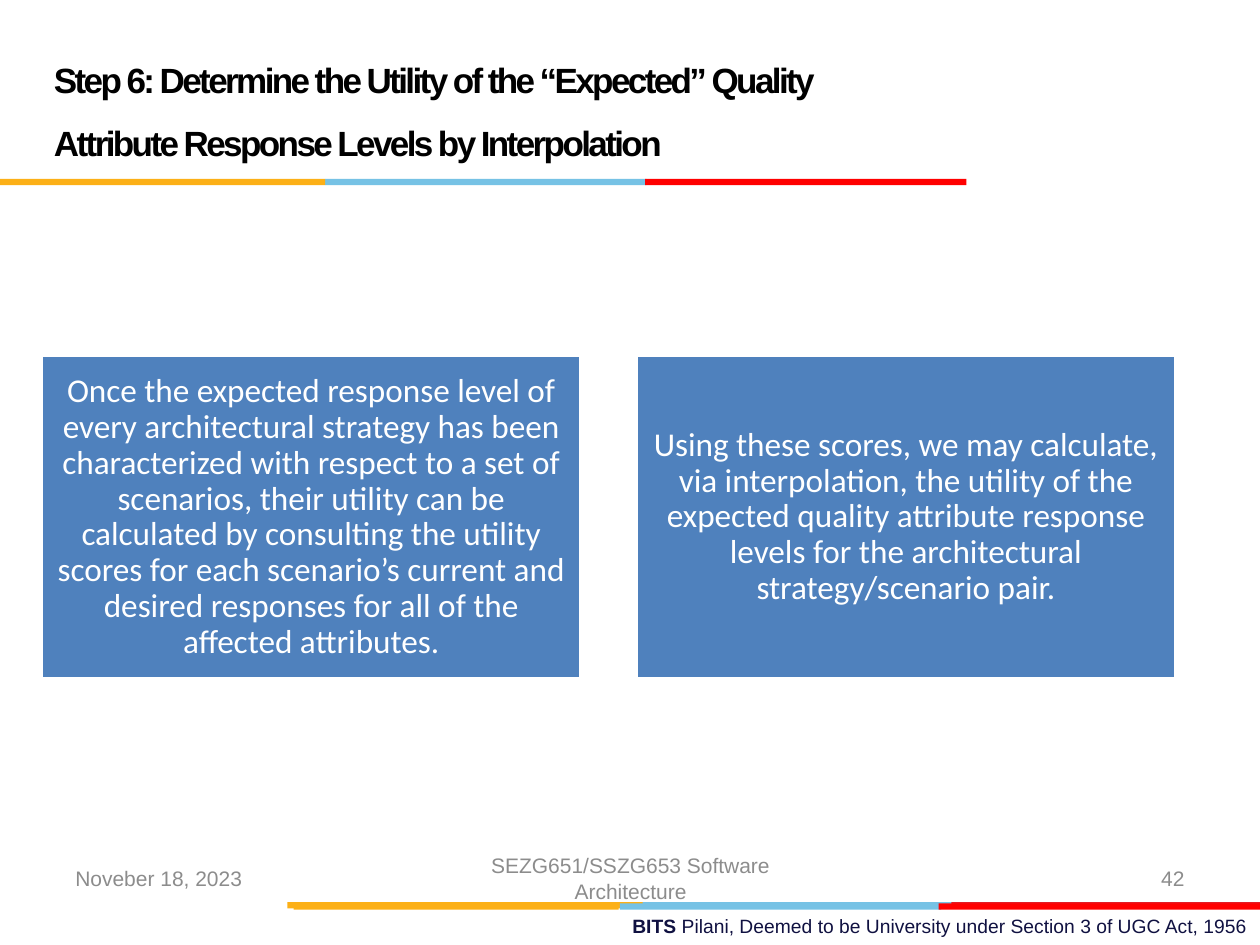
"""Build the slide on determining expected utility by interpolation."""
from pptx import Presentation
from pptx.dml.color import RGBColor
from pptx.enum.shapes import MSO_SHAPE
from pptx.enum.text import MSO_ANCHOR, PP_ALIGN
from pptx.util import Inches, Pt

ORANGE, SKY, RED, WHITE = "FCB017", "76C2E5", "FF0000", "FFFFFF"
BAR_HEIGHT = 0.05
STRIPES = [
    (7.16, [(5.06, 2.55, SKY), (7.55, 2.45, "E31C24"), (2.28, 2.82, ORANGE)]),
    (7.17, [(4.92, 2.55, SKY), (2.33, 2.58, ORANGE), (7.45, 2.55, RED)]),
    (1.42, [(2.58, 2.55, SKY), (0, 2.58, ORANGE), (5.12, 2.55, RED)]),
]
TITLE = "Step 6: Determine the Utility of the “Expected” Quality Attribute Response Levels by Interpolation"
CARDS = [
    "Once the expected response level of every architectural strategy has been characterized "
    "with respect to a set of scenarios, their utility can be calculated by consulting the "
    "utility scores for each scenario’s current and desired responses for all of the affected attributes.",
    "Using these scores, we may calculate, via interpolation, the utility of the expected "
    "quality attribute response levels for the architectural strategy/scenario pair.",
]
CARD_LEFT, CARD_TOP, CARD_WIDTH, CARD_HEIGHT, CARD_GAP = 0.33, 2.82, 4.28, 2.57, 0.44
FOOTERS = [
    (0.5, 2.33, "Noveber 18, 2023", PP_ALIGN.LEFT),
    (3.42, 3.17, "SEZG651/SSZG653 Software Architecture", PP_ALIGN.CENTER),
    (7.17, 2.33, "42", PP_ALIGN.RIGHT),
]
UNIVERSITY = [("BITS ", True), ("Pilani, Deemed to be University under Section 3 of UGC Act, 1956", False)]

FONTS = {
    "title": {"name": "Arial", "size": Pt(20)},
    "card": {"name": "Calibri", "size": Pt(19)},
    "footer": {"name": "Arial", "size": Pt(12)},
    "university": {"name": "Arial", "size": Pt(11)},
}
COLORS = {"title": "000000", "card": WHITE, "footer": "8C8C8C", "university": "101141"}
CARD_MARGINS = {f"margin_{side}": Inches(0.08) for side in ("left", "top", "right", "bottom")}


def rgb(value):
    return RGBColor.from_string(value)


def apply(target, values):
    for name, value in values.items():
        setattr(target, name, value)


def add_rect(slide, box, fill):
    rect = slide.shapes.add_shape(MSO_SHAPE.RECTANGLE, *map(Inches, box))
    rect.shadow.inherit = False
    rect.fill.solid()
    rect.fill.fore_color.rgb = rgb(fill)
    rect.line.fill.background()
    return rect


def write(holder, runs, role, align=PP_ALIGN.LEFT, anchor=MSO_ANCHOR.MIDDLE, spacing=None):
    frame = holder.text_frame
    apply(frame, {"word_wrap": True, "vertical_anchor": anchor})
    paragraph = frame.paragraphs[0]
    apply(paragraph, {"alignment": align, "line_spacing": spacing})
    for text, bold in runs:
        run = paragraph.add_run()
        run.text = text
        apply(run.font, {**FONTS[role], "bold": bold})
        run.font.color.rgb = rgb(COLORS[role])
    return paragraph


def add_text(slide, box, *args, **layout):
    return write(slide.shapes.add_textbox(*map(Inches, box)), *args, **layout)


def main():
    deck = Presentation()
    apply(deck, {"slide_width": Inches(10), "slide_height": Inches(7.5)})
    slide = deck.slides.add_slide(deck.slide_layouts[6])

    add_text(slide, (3.58, 7.21, 6.42, 0.29), UNIVERSITY, "university",
             align=PP_ALIGN.RIGHT, anchor=MSO_ANCHOR.TOP)
    for top, bars in STRIPES:
        for left, width, color in bars:
            add_rect(slide, (left, top, width, BAR_HEIGHT), color)

    for column, text in enumerate(CARDS):
        left = CARD_LEFT + column * (CARD_WIDTH + CARD_GAP)
        card = add_rect(slide, (left, CARD_TOP, CARD_WIDTH, CARD_HEIGHT), "4F81BD")
        card.line.color.rgb = rgb(WHITE)
        card.line.width = Pt(2)
        apply(card.text_frame, CARD_MARGINS)
        write(card, [(text, False)], "card", align=PP_ALIGN.CENTER, spacing=0.9)

    title = add_text(slide, (0.33, 0.17, 6.92, 1.25), [(TITLE, True)], "title", spacing=Pt(36))
    title.runs[0].font._element.set("spc", "-150")

    for left, width, text, align in FOOTERS:
        add_text(slide, (left, 6.77, width, 0.4), [(text, False)], "footer", align=align)

    deck.save("out.pptx")


if __name__ == "__main__":
    main()
